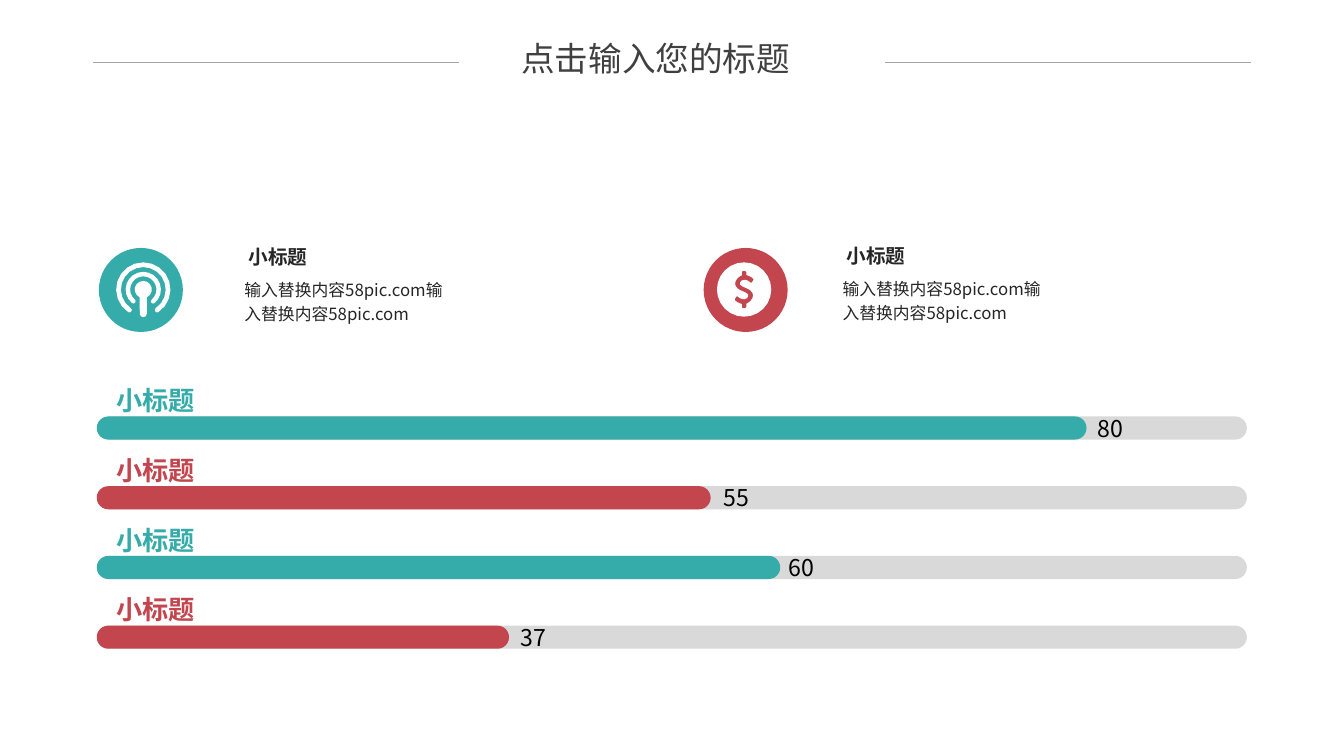
import math
from dataclasses import dataclass

from lxml import etree
from pptx import Presentation
from pptx import util as u
from pptx.dml.color import RGBColor
from pptx.enum import shapes, text
from pptx.oxml.ns import qn

FONT = "Noto Sans CJK JP"
COLORS = {
    "teal": "35ACA9", "red": "C3454E", "white": "FFFFFF", "track": "D9D9D9",
    "title": "404040", "body": "262626", "value": "000000", "rule": "A6A6A6",
}
BAR_LEFT, BAR_TOP, BAR_STEP = 69.1, 297.5, 49.8
TRACK_WIDTH, BAR_HEIGHT = 821.5, 16.5
ICON_TOP, ICON_SIZE = 177.1, 60
DOLLAR_HALF = [
    (1.6, 12.6), (0.9, 13.3), (-0.9, 13.3), (-1.6, 12.6), (-1.6, 10.4),
    (-3.5, 9.7), (-4.9, 9), (-6.3, 8), (-6.8, 7), (-5.4, 4.9), (-4.7, 4.9),
    (-3, 6.1), (-1.3, 6.9), (0.2, 6.9), (1.9, 6.3), (2.9, 5), (2.9, 3.5),
    (1.2, 2.2), (-1.3, 1.1), (-3.3, 0.2), (-4.8, -0.9), (-5.9, -2.3),
    (-6.4, -4), (-6, -6), (-4.8, -8), (-3.2, -9.3), (-1.6, -10.2),
]
Points = list[tuple[float, float]]


@dataclass
class Bar:
    label: str
    value: int
    width: float
    value_left: float
    color: str


@dataclass
class Feature:
    icon_left: float
    symbol_center: float
    color: str
    heading: str
    body: str
    text_left: float
    text_top: float


@dataclass
class Style:
    size: float
    color: str
    bold: bool = False
    spacing: float = 1.0
    align: text.PP_ALIGN = text.PP_ALIGN.LEFT


BARS = [
    Bar("小标题", 80, 707, 783.8, "teal"),
    Bar("小标题", 55, 438.5, 516.7, "red"),
    Bar("小标题", 60, 488.2, 563.4, "teal"),
    Bar("小标题", 37, 294.5, 371.9, "red"),
]
BODY = "输入替换内容58pic.com输入替换内容58pic.com"
FEATURES = [
    Feature(70.6, 102.4, "teal", "小标题", BODY, 167.5, 171.1),
    Feature(502.6, 531.5, "red", "小标题", BODY, 594.7, 170.6),
]
LABEL = {name: Style(18.7, name, bold=True) for name in ("teal", "red")}
VALUE = Style(16.5, "value")
HEADING = Style(14, "body", bold=True)
CONTENT = Style(12, "body", spacing=1.2)
TITLE = Style(24, "title", align=text.PP_ALIGN.CENTER)


def rgb(name: str) -> RGBColor:
    return RGBColor.from_string(COLORS[name])


def paint(shape, color: str) -> None:
    shape.shadow.inherit = False
    shape.fill.solid()
    shape.fill.fore_color.rgb = rgb(color)
    shape.line.fill.background()


def write(frame, content: str, style: Style) -> None:
    paragraph = frame.paragraphs[0]
    paragraph.text = content
    paragraph.alignment = style.align
    paragraph.line_spacing = style.spacing
    font = paragraph.font
    font.name = FONT
    font.size = u.Pt(style.size)
    font.bold = style.bold
    font.color.rgb = rgb(style.color)
    defaults = paragraph._p.pPr.find(qn("a:defRPr"))
    etree.SubElement(defaults, qn("a:ea")).set("typeface", FONT)


def remove_insets(frame) -> None:
    frame.margin_left = frame.margin_top = u.Pt(0)
    frame.margin_right = frame.margin_bottom = u.Pt(0)


def add_text(slide, left: float, top: float, width: float, height: float,
             content: str, style: Style, tight: bool = False) -> None:
    box = slide.shapes.add_textbox(u.Pt(left), u.Pt(top), u.Pt(width), u.Pt(height))
    frame = box.text_frame
    frame.word_wrap = True
    if tight:
        remove_insets(frame)
        frame.vertical_anchor = text.MSO_ANCHOR.MIDDLE
    write(frame, content, style)


def add_pill(slide, top: float, width: float, color: str) -> None:
    pill = slide.shapes.add_shape(
        shapes.MSO_SHAPE.ROUNDED_RECTANGLE,
        u.Pt(BAR_LEFT), u.Pt(top), u.Pt(width), u.Pt(BAR_HEIGHT))
    pill.adjustments[0] = 0.5
    paint(pill, color)


def arc(radius: float, start: float, end: float, steps: int, center_y: float = 0) -> Points:
    angles = [math.radians(start + (end - start) * step / steps)
              for step in range(steps + 1)]
    return [(radius * math.cos(a), center_y + radius * math.sin(a)) for a in angles]


def open_ring(outer: float, inner: float, gap: float) -> Points:
    start, end = 90 + gap, 450 - gap
    middle, cap = (outer + inner) / 2, (outer - inner) / 2
    ends = [(middle * math.cos(math.radians(a)), middle * math.sin(math.radians(a)))
            for a in (start, end)]
    caps = [[(x + dx, y + dy) for dx, dy in arc(cap, a, a + 180, 4)]
            for (x, y), a in zip(ends, (start + 180, end))]
    return arc(outer, start, end, 16) + caps[1] + arc(inner, end, start, 16) + caps[0]


def antenna() -> list[Points]:
    microphone = arc(6.1, 115, 425, 12) + arc(2.5, 0, 180, 4, 17.3)
    return [open_ring(19.4, 16, 34), open_ring(12.6, 9.4, 40), microphone]


def coin() -> list[Points]:
    return [arc(19.4, 0, 360, 24), DOLLAR_HALF + [(-x, -y) for x, y in DOLLAR_HALF]]


def add_outline(slide, center_x: float, center_y: float, contours: list[Points]) -> None:
    placed = [[(u.Pt(center_x + x), u.Pt(center_y + y)) for x, y in contour]
              for contour in contours]
    builder = slide.shapes.build_freeform(*placed[0][0])
    for index, contour in enumerate(placed):
        if index:
            builder.move_to(*contour[0])
        builder.add_line_segments(contour[1:], close=True)
    paint(builder.convert_to_shape(), "white")


def add_feature(slide, feature: Feature, contours: list[Points]) -> None:
    circle = slide.shapes.add_shape(
        shapes.MSO_SHAPE.OVAL, u.Pt(feature.icon_left), u.Pt(ICON_TOP),
        u.Pt(ICON_SIZE), u.Pt(ICON_SIZE))
    paint(circle, feature.color)
    add_outline(slide, feature.symbol_center, ICON_TOP + 29.7, contours)
    add_text(slide, feature.text_left, feature.text_top + 22.3, 157.7, 40.3,
             feature.body, CONTENT)
    add_text(slide, feature.text_left + 2.9, feature.text_top, 115.9, 24.5,
             feature.heading, HEADING)


def add_bar(slide, bar: Bar, top: float) -> None:
    add_pill(slide, top, TRACK_WIDTH, "track")
    add_pill(slide, top, bar.width, bar.color)
    add_text(slide, 83.3, top - 23.2, 280, 23, bar.label, LABEL[bar.color], tight=True)
    add_text(slide, bar.value_left, top, 24, BAR_HEIGHT, str(bar.value), VALUE, tight=True)


def add_title(slide) -> None:
    title = slide.shapes.title
    title.left, title.top = u.Pt(321.1), u.Pt(27.2)
    title.width, title.height = u.Pt(294.5), u.Pt(28.8)
    frame = title.text_frame
    frame.word_wrap = True
    frame.vertical_anchor = text.MSO_ANCHOR.TOP
    remove_insets(frame)
    write(frame, "点击输入您的标题", TITLE)
    for left in (66.5, 632.2):
        rule = slide.shapes.add_connector(
            shapes.MSO_CONNECTOR.STRAIGHT, u.Pt(left), u.Pt(44.6),
            u.Pt(left + 261.4), u.Pt(44.6))
        rule.line.color.rgb = rgb("rule")
        rule.line.width = u.Pt(0.5)
        etree.SubElement(rule._element.spPr, qn("a:effectLst"))


def main() -> None:
    presentation = Presentation()
    presentation.slide_width, presentation.slide_height = u.Pt(960), u.Pt(540)
    slide = presentation.slides.add_slide(presentation.slide_layouts[5])
    add_title(slide)
    for feature, contours in zip(FEATURES, (antenna(), coin())):
        add_feature(slide, feature, contours)
    for index, bar in enumerate(BARS):
        add_bar(slide, bar, BAR_TOP + index * BAR_STEP)
    presentation.save("out.pptx")


if __name__ == "__main__":
    main()
